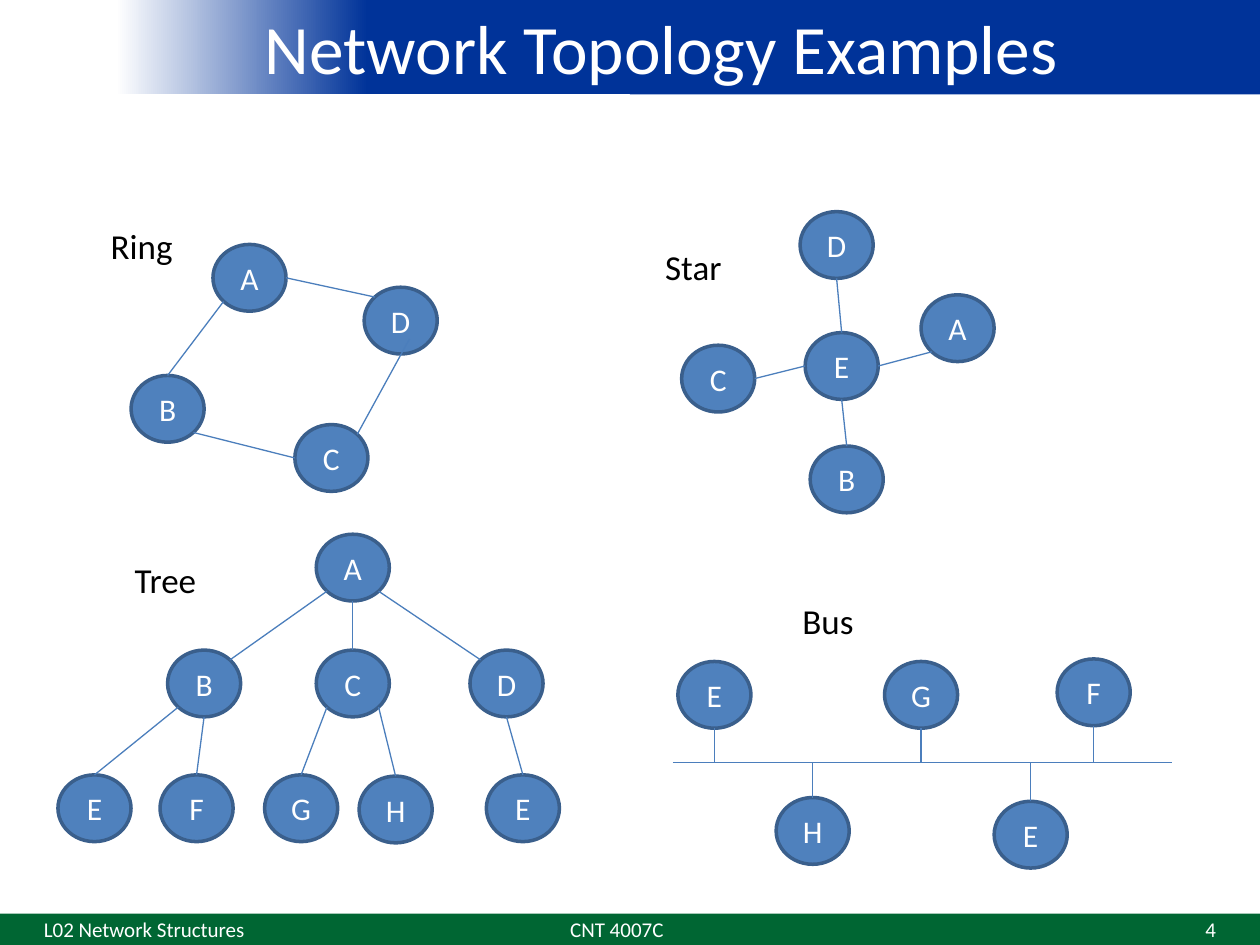
from dataclasses import dataclass
from math import cos, radians, sin

from lxml.etree import SubElement
from pptx import Presentation
from pptx.dml.color import RGBColor
from pptx.enum.shapes import MSO_CONNECTOR, MSO_SHAPE
from pptx.enum.text import MSO_ANCHOR, MSO_AUTO_SIZE, PP_ALIGN
from pptx.oxml.ns import qn
from pptx.util import Inches, Pt


@dataclass(frozen=True)
class Theme:
    """Colours, type sizes and line widths of the slide."""
    blue: RGBColor = RGBColor.from_string("003399")
    green: RGBColor = RGBColor.from_string("006633")
    white: RGBColor = RGBColor.from_string("FFFFFF")
    black: RGBColor = RGBColor.from_string("000000")
    node: RGBColor = RGBColor.from_string("4F81BD")
    rim: RGBColor = RGBColor.from_string("3A5F8C")
    wire: RGBColor = RGBColor.from_string("4B7EBC")
    font: str = "Calibri"
    title: float = 39.6
    label: float = 20
    letter: float = 18
    foot: float = 12
    thick: float = 2
    thin: float = 0.75


THEME = Theme()
WIDE, HIGH = 0.58, 0.53
TOP, TOP_LEFT, LEFT, LOW_LEFT, LOW, LOW_RIGHT, RIGHT, TOP_RIGHT = range(8)
BUS = 6.05

RING = {"A": (1.69, 1.94), "B": (1.04, 2.98), "C": (2.34, 3.37), "D": (2.89, 2.28)}
RING_LINKS = [("B", LOW_RIGHT, "C", LEFT), ("D", TOP_LEFT, "A", RIGHT),
              ("A", LOW_LEFT, "B", TOP)]

STAR = {"D": (6.35, 1.68), "A": (7.31, 2.34), "B": (6.43, 3.54),
        "C": (5.41, 2.74), "E": (6.39, 2.64)}
STAR_LINKS = [("E", RIGHT, "A", LOW_LEFT), ("E", LOW, "B", TOP),
              ("C", RIGHT, "E", LEFT), ("D", LOW, "E", TOP)]

TREE = {"A": (2.51, 4.24), "B": (1.33, 5.16), "C": (2.51, 5.16), "D": (3.73, 5.16),
        "E": (0.46, 6.15), "F": (1.27, 6.15), "G": (2.1, 6.15), "H": (2.85, 6.16),
        "E2": (3.86, 6.15)}
TREE_LINKS = [("A", LOW_LEFT, "B", TOP_RIGHT), ("A", LOW, "C", TOP),
              ("A", LOW_RIGHT, "D", TOP_LEFT), ("B", LOW_LEFT, "E", TOP),
              ("B", LOW, "F", TOP), ("C", LOW_LEFT, "G", TOP),
              ("C", LOW_RIGHT, "H", TOP), ("D", LOW, "E2", TOP)]

HOSTS = {"E": (5.38, 5.25), "G": (7.02, 5.25), "F": (8.39, 5.23),
         "H": (6.16, 6.33), "E2": (7.89, 6.36)}


def put(item, values):
    """Set each named value on the item."""
    for name, value in values.items():
        setattr(item, name, value)


def write(frame, text, size, ink, align=PP_ALIGN.LEFT, **form):
    """Fill a text frame with one styled line."""
    put(frame, form)
    line = frame.paragraphs[0]
    line.alignment = align
    run = line.add_run()
    put(run, {"text": text})
    put(run.font, {"name": THEME.font, "size": Pt(size)})
    run.font.color.rgb = ink


def add_text(slide, box, text, size, ink, **form):
    """Add a text box."""
    shape = slide.shapes.add_textbox(*map(Inches, box))
    write(shape.text_frame, text, size, ink, **form)


def add_bar(slide, box, fill):
    """Add a plain bar and return it."""
    bar = slide.shapes.add_shape(MSO_SHAPE.RECTANGLE, *map(Inches, box))
    bar.shadow.inherit = False
    bar.fill.solid()
    bar.fill.fore_color.rgb = fill
    bar.line.fill.background()
    return bar


def add_fade(slide, box):
    """Add a bar that fades to white on the left."""
    fill = add_bar(slide, box, THEME.blue).fill
    fill.gradient()
    fill.gradient_angle = 180
    stops = (0.49, THEME.blue), (0.96, THEME.white)
    for stop, (place, ink) in zip(fill.gradient_stops, stops):
        stop.position = place
        stop.color.rgb = ink


def add_node(slide, letter, spot):
    """Add a lettered node and return it."""
    node = slide.shapes.add_shape(MSO_SHAPE.OVAL, *map(Inches, (*spot, WIDE, HIGH)))
    node.shadow.inherit = False
    node.fill.solid()
    node.fill.fore_color.rgb = THEME.node
    node.line.color.rgb = THEME.rim
    node.line.width = Pt(THEME.thick)
    write(node.text_frame, letter, THEME.letter, THEME.white, PP_ALIGN.CENTER,
          vertical_anchor=MSO_ANCHOR.MIDDLE)
    return node


def add_nodes(slide, spots):
    """Add the nodes of one network, keyed by name."""
    return {name: add_node(slide, name[0], spot) for name, spot in spots.items()}


def find_site(node, site):
    """Return the point of one of the eight sites on a node's rim."""
    turn = radians(90 + 45 * site)
    return (int(node.left + node.width * (1 + cos(turn)) / 2),
            int(node.top + node.height * (1 - sin(turn)) / 2))


def add_wire(slide, start, end):
    """Add a straight line between two points and return it."""
    wire = slide.shapes.add_connector(MSO_CONNECTOR.STRAIGHT, *start, *end)
    wire.line.color.rgb = THEME.wire
    wire.line.width = Pt(THEME.thin)
    SubElement(wire._element.spPr, qn("a:effectLst"))
    return wire


def glue(wire, tag, node, site):
    """Join one end of a wire to a site on a node."""
    joint = SubElement(wire._element.nvCxnSpPr.cNvCxnSpPr, qn(tag))
    joint.set("id", str(node.shape_id))
    joint.set("idx", str(site))


def add_links(slide, nodes, links):
    """Wire up the nodes of one network."""
    for head, exit, tail, entry in links:
        start, end = nodes[head], nodes[tail]
        wire = add_wire(slide, find_site(start, exit), find_site(end, entry))
        glue(wire, "a:stCxn", start, exit)
        glue(wire, "a:endCxn", end, entry)


def add_stub(slide, node, site, end):
    """Add a wire from a node to a free point."""
    glue(add_wire(slide, find_site(node, site), end), "a:stCxn", node, site)


def add_bus(slide):
    """Add the bus line and its hosts."""
    hosts = add_nodes(slide, HOSTS)
    add_wire(slide, (Inches(5.34), Inches(BUS)), (Inches(9.3), Inches(BUS)))
    for host in hosts.values():
        site = LOW if host.top < Inches(BUS) else TOP
        add_stub(slide, host, site, (find_site(host, site)[0], Inches(BUS)))


def add_frame(slide):
    """Add the bars, the title and the footer."""
    add_bar(slide, (5, 0, 5, 0.75), THEME.blue)
    add_fade(slide, (0.75, 0, 4.25, 0.75))
    add_bar(slide, (0, 7.25, 10, 0.25), THEME.green)
    title = slide.shapes.title
    put(title, {"left": Inches(0.75), "top": Inches(0),
                "width": Inches(9), "height": Inches(0.75)})
    write(title.text_frame, "Network Topology Examples", THEME.title, THEME.white,
          PP_ALIGN.CENTER, vertical_anchor=MSO_ANCHOR.MIDDLE,
          auto_size=MSO_AUTO_SIZE.NONE)
    slide.shapes._spTree.append(title._element)
    for left, width, text, align in (
            (3.33, 3.17, "CNT 4007C ", PP_ALIGN.CENTER),
            (0.25, 2.33, "L02 Network Structures", PP_ALIGN.LEFT),
            (7.42, 2.33, "4", PP_ALIGN.RIGHT)):
        add_text(slide, (left, 7.25, width, 0.25), text, THEME.foot, THEME.white,
                 align=align, vertical_anchor=MSO_ANCHOR.MIDDLE, word_wrap=True)


def main():
    """Build the slide and save it."""
    deck = Presentation()
    put(deck, {"slide_width": Inches(10), "slide_height": Inches(7.5)})
    slide = deck.slides.add_slide(deck.slide_layouts[5])
    add_frame(slide)
    ring = add_nodes(slide, RING)
    add_links(slide, ring, RING_LINKS)
    add_stub(slide, ring["C"], TOP_RIGHT, (Inches(3.25), Inches(2.69)))
    for spots, links in (STAR, STAR_LINKS), (TREE, TREE_LINKS):
        add_links(slide, add_nodes(slide, spots), links)
    add_bus(slide)
    for left, top, width, text in ((0.78, 1.73, 0.69, "Ring"), (5.18, 1.9, 0.65, "Star"),
                                   (0.97, 4.38, 0.71, "Tree"), (6.27, 4.71, 0.61, "Bus")):
        add_text(slide, (left, top, width, 0.44), text, THEME.label, THEME.black,
                 word_wrap=False, auto_size=MSO_AUTO_SIZE.SHAPE_TO_FIT_TEXT)
    deck.save("out.pptx")


if __name__ == "__main__":
    main()
